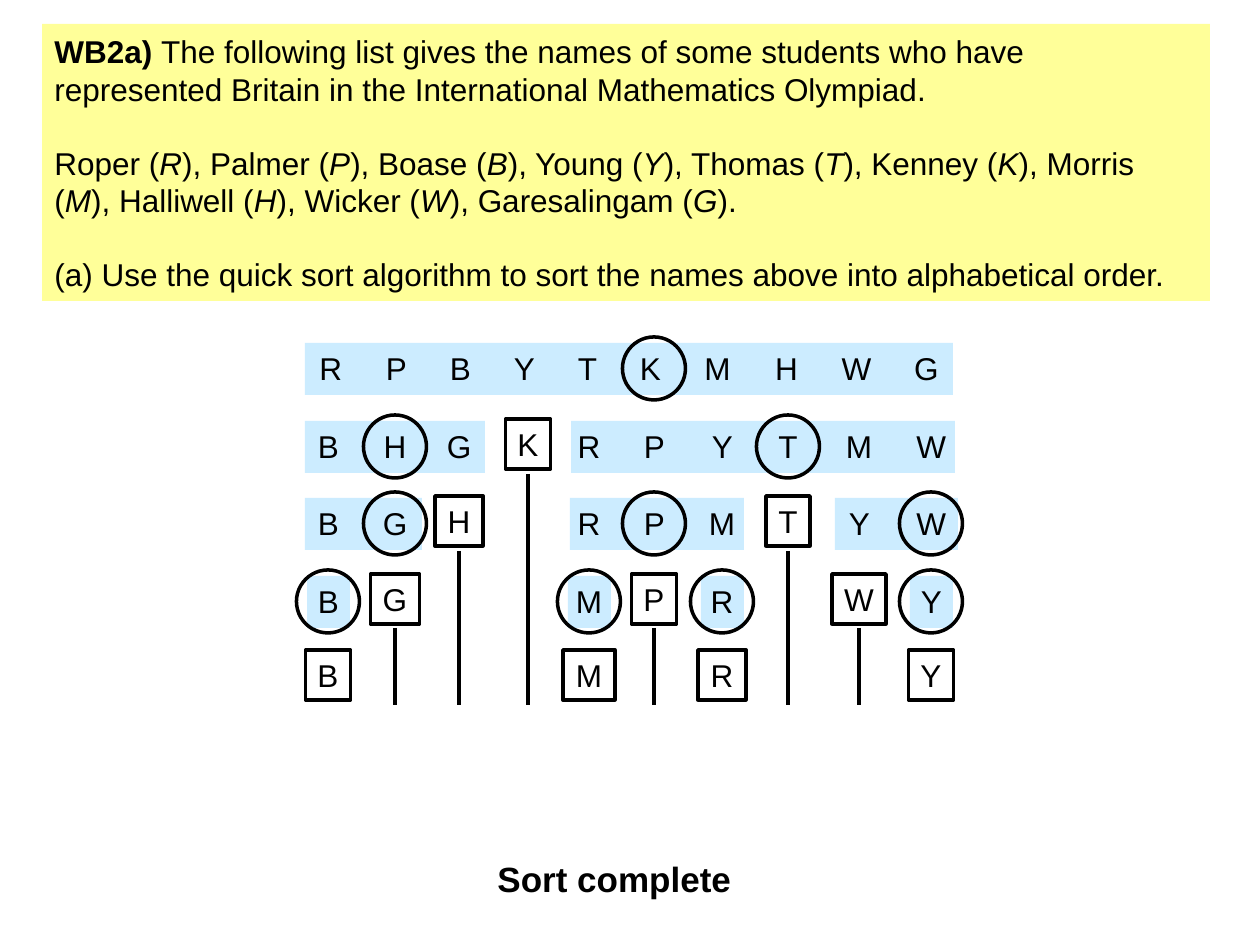
from dataclasses import dataclass

from pptx import Presentation
from pptx.dml.color import RGBColor
from pptx.enum.shapes import MSO_CONNECTOR, MSO_SHAPE
from pptx.enum.text import MSO_ANCHOR, PP_ALIGN
from pptx.oxml.ns import qn
from pptx.util import Emu, Pt

RECTANGLE, OVAL = MSO_SHAPE.RECTANGLE, MSO_SHAPE.OVAL
STRAIGHT = MSO_CONNECTOR.STRAIGHT
LEFT, CENTER = PP_ALIGN.LEFT, PP_ALIGN.CENTER
TOP, MIDDLE = MSO_ANCHOR.TOP, MSO_ANCHOR.MIDDLE
PX_PER_INCH = 126
BLANK_LAYOUT = 6


@dataclass(frozen=True)
class Theme:
    font: str = "Arial"
    ink: RGBColor = RGBColor(0x00, 0x00, 0x00)
    question: RGBColor = RGBColor(0xFF, 0xFF, 0x99)
    band: RGBColor = RGBColor(0xCC, 0xEC, 0xFF)
    body: int = 18
    result: int = 20
    gap: float = 20.7
    line: int = 2


THEME = Theme()

# Question: paragraphs of spans, each (text, style)
STUDENTS = ["Roper", "Palmer", "Boase", "Young", "Thomas",
            "Kenney", "Morris", "Halliwell", "Wicker", "Garesalingam"]
INTRO = [("WB2a) ", "bold"),
         ("The following list gives the names of some students who have "
          "represented Britain in the International Mathematics Olympiad.", "")]
TASK = [("(a) Use the quick sort algorithm to sort the names above "
         "into alphabetical order.", "")]

# Sorting diagram: (X) is a pivot, [X] is a placed letter, . is a finished column
START = "RPBYTKMHWG"
START_CENTERS = [397, 461, 525, 588, 651, 718, 787, 857, 927]
PASSES = ["B (H) G [K] R P Y (T) M W",
          "B (G) [H] . R (P) M [T] Y (W)",
          "(B) [G] . . (M) [P] (R) . [W] (Y)",
          "[B] . . . [M] . [R] . . [Y]"]
COLUMNS = [328, 395, 459, 528, 589, 654, 722, 788, 859, 931]
ROWS = [343, 421, 498, 576, 652]
BANDS = [[(305, 648)],
         [(305, 180), (571, 384)],
         [(305, 117), (570, 174), (835, 123)],
         [(307, 43), (568, 43), (701, 43), (910, 43)],
         []]
LETTER_WIDTHS = {"B": 45, "G": 49, "H": 48, "K": 45, "M": 52,
                 "P": 45, "R": 48, "T": 44, "W": 54, "Y": 45}
LETTER_HEIGHT, BAND_HEIGHT, CIRCLE = 50, 52, 63
DROP_TOP, DROP_STEP = 474, 77


def px(length):
    return Emu(round(length * 914400 / PX_PER_INCH))


def add_figure(page, kind, left, top, width, height, fill=None, outlined=False):
    shape = page.shapes.add_shape(kind, px(left), px(top), px(width), px(height))
    shape.shadow.inherit = False
    if fill is None:
        shape.fill.background()
    else:
        shape.fill.solid()
        shape.fill.fore_color.rgb = fill
    if outlined:
        shape.line.color.rgb = THEME.ink
        shape.line.width = Pt(THEME.line)
    else:
        shape.line.fill.background()
    return shape


def add_text_box(page, left, top, width, height):
    return page.shapes.add_textbox(px(left), px(top), px(width), px(height))


def write(box, paragraphs, size=THEME.body, align=LEFT, anchor=TOP, wrap=True):
    frame = box.text_frame
    frame.word_wrap = wrap
    frame.vertical_anchor = anchor
    for index, spans in enumerate(paragraphs):
        para = frame.add_paragraph() if index else frame.paragraphs[0]
        para.alignment = align
        if index:
            para.space_before = Pt(THEME.gap)
        for text, style in spans:
            span = para.add_run()
            span.text = text
            span.font.name = THEME.font
            span.font.size = Pt(size)
            span.font.color.rgb = THEME.ink
            span.font.bold = style == "bold"
            span.font.italic = style == "italic"


def add_question(page):
    names = []
    for index, student in enumerate(STUDENTS):
        lead = "), " if index else ""
        names += [(f"{lead}{student} (", ""), (student[0], "italic")]
    names.append((").", ""))
    box = add_figure(page, RECTANGLE, 42, 24, 1168, 277, fill=THEME.question)
    write(box, [INTRO, names, TASK], anchor=MIDDLE)


def add_start_row(page):
    left, inset = 307, 13
    box = add_text_box(page, left, ROWS[0], 648, LETTER_HEIGHT)
    # Centred tab stops place every letter after the first
    properties = box.text_frame.paragraphs[0]._p.get_or_add_pPr()
    stops = properties.makeelement(qn("a:tabLst"), {})
    properties.append(stops)
    for center in START_CENTERS:
        position = str(px(center - left - inset))
        stops.append(stops.makeelement(qn("a:tab"), {"pos": position, "algn": "ctr"}))
    write(box, [[("\t".join(START), "")]])


def add_letter(page, letter, center, top, boxed):
    width = LETTER_WIDTHS[letter]
    place = (center - width / 2, top - 2 if boxed else top, width, LETTER_HEIGHT)
    if boxed:
        box = add_figure(page, RECTANGLE, *place, outlined=True)
    else:
        box = add_text_box(page, *place)
    write(box, [[(letter, "")]], align=CENTER, wrap=False)


def add_pivot_ring(page, center, row_top):
    add_figure(page, OVAL, center - CIRCLE / 2, row_top - 6, CIRCLE, CIRCLE,
               outlined=True)


def add_drop_line(page, center, top):
    line = page.shapes.add_connector(STRAIGHT, px(center), px(top),
                                     px(center), px(top + DROP_STEP))
    line.line.color.rgb = THEME.ink
    line.line.width = Pt(THEME.line)
    properties = line._element.spPr
    properties.append(properties.makeelement(qn("a:effectLst"), {}))


def add_pass(page, number, tokens, top):
    for center, token in zip(COLUMNS, tokens.split()):
        if token == ".":
            continue
        placed = token.startswith("[")
        add_letter(page, token.strip("()[]"), center, top, placed)
        if token.startswith("("):
            add_pivot_ring(page, center, top)
        if placed:
            for step in range(number, len(PASSES) - 1):
                add_drop_line(page, center, DROP_TOP + step * DROP_STEP)


def main():
    deck = Presentation()
    deck.slide_width, deck.slide_height = px(1260), px(945)
    page = deck.slides.add_slide(deck.slide_layouts[BLANK_LAYOUT])

    add_question(page)

    # Bands behind the sublists still being sorted
    for top, bands in zip(ROWS, BANDS):
        for left, width in bands:
            add_figure(page, RECTANGLE, left, top, width, BAND_HEIGHT, fill=THEME.band)

    # Starting list with its pivot, then each pass
    add_start_row(page)
    add_pivot_ring(page, COLUMNS[START.index("K")], ROWS[0])
    for number, tokens in enumerate(PASSES):
        add_pass(page, number, tokens, ROWS[number + 1])

    # Result
    result = add_text_box(page, 485, 851, 273, 55)
    write(result, [[("Sort complete", "bold")]], size=THEME.result)

    deck.save("out.pptx")


if __name__ == "__main__":
    main()
